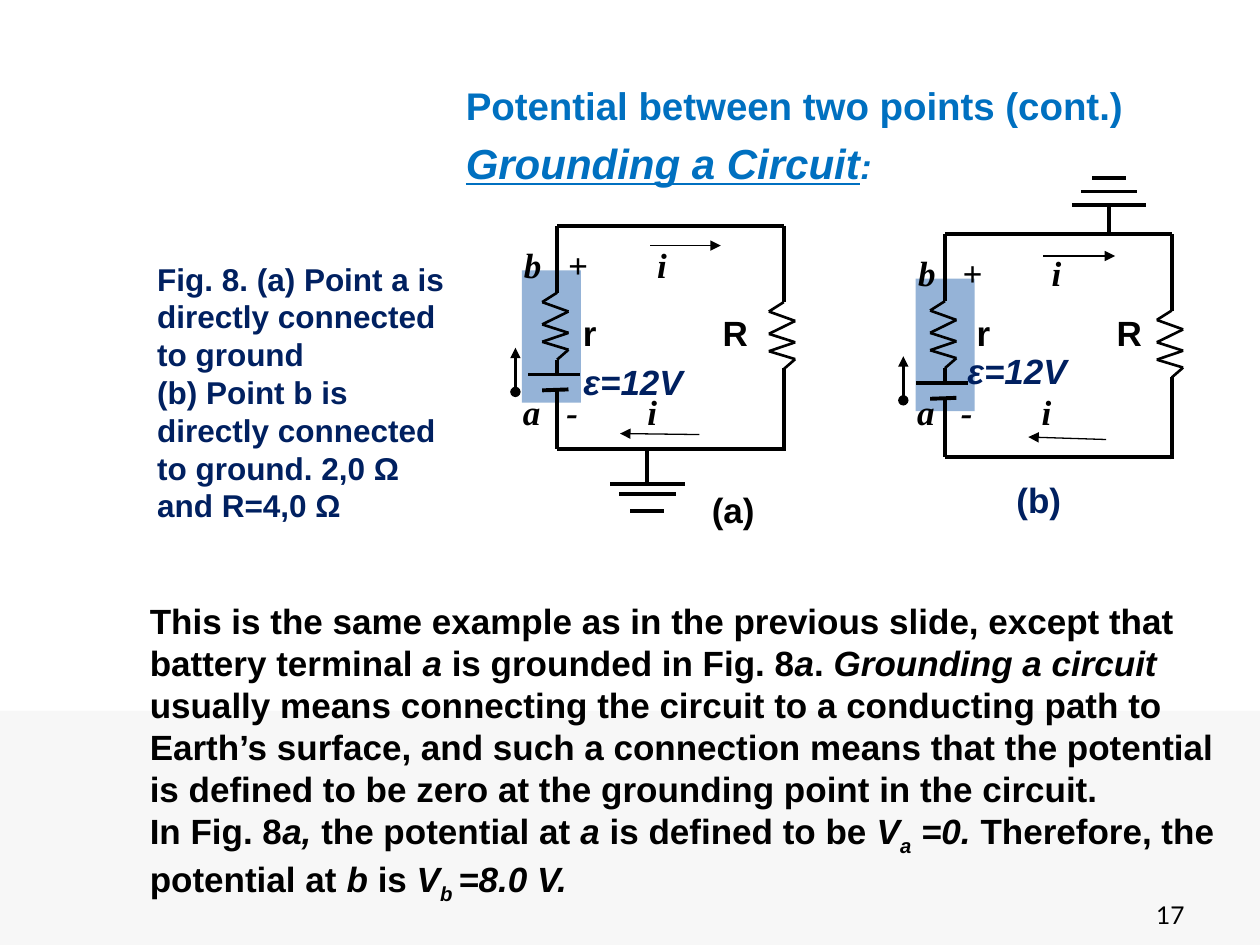
from dataclasses import dataclass
from itertools import pairwise

from lxml import etree
from pptx import Presentation
from pptx.dml.color import RGBColor
from pptx.enum.shapes import MSO_CONNECTOR, MSO_SHAPE
from pptx.enum.text import MSO_ANCHOR, PP_ALIGN
from pptx.oxml.ns import qn
from pptx.util import Cm, Pt

STRAIGHT = MSO_CONNECTOR.STRAIGHT
RECTANGLE = MSO_SHAPE.RECTANGLE
TOP, MIDDLE = MSO_ANCHOR.TOP, MSO_ANCHOR.MIDDLE
LEFT, RIGHT = PP_ALIGN.LEFT, PP_ALIGN.RIGHT


@dataclass(frozen=True)
class Theme:
    black: str = "000000"
    navy: str = "002060"
    blue: str = "0070C0"
    battery: str = "95B3D7"
    band: str = "F7F7F7"
    sans: str = "Arial"
    serif: str = "Times New Roman"
    number_font: str = "Lato"
    subtitle: int = 24
    title: int = 22
    body: int = 20
    caption: int = 18
    number: int = 14
    wire: float = 2.25
    medium: float = 1.5
    thin: float = 0.75


class CircuitSlide:
    """Draws text, blocks and circuit parts on one slide in a shared style."""

    ZIGZAG = [(0, 0), (-0.3, 0.19), (0.23, 0.38), (-0.3, 0.64),
              (0.23, 0.81), (-0.3, 0.99), (0.23, 1.15), (0, 1.35)]

    def __init__(self, slide, theme):
        self.shapes = slide.shapes
        self.theme = theme

    def block(self, x, y, width, height, color):
        block = self.shapes.add_shape(RECTANGLE, Cm(x), Cm(y), Cm(width), Cm(height))
        block.shadow.inherit = False
        block.fill.solid()
        block.fill.fore_color.rgb = RGBColor.from_string(color)
        block.line.fill.background()

    def text(self, box, paragraphs, size, color, font=None, bold=True, italic=False,
             anchor=TOP, align=LEFT, tabs=()):
        frame = self.shapes.add_textbox(*map(Cm, box)).text_frame
        frame.word_wrap = True
        frame.vertical_anchor = anchor
        for index, runs in enumerate(paragraphs):
            paragraph = frame.add_paragraph() if index else frame.paragraphs[0]
            paragraph.alignment = align
            if tabs:
                stops = etree.SubElement(paragraph._p.get_or_add_pPr(), qn("a:tabLst"))
                for stop in tabs:
                    etree.SubElement(stops, qn("a:tab"), pos=str(Cm(stop)), algn="l")
            for words, *changes in runs:
                change = changes[0] if changes else {}
                run = paragraph.add_run()
                run.text = words
                run.font.name = font or self.theme.sans
                run.font.size = Pt(change.get("size", size))
                run.font.bold = bold
                run.font.italic = change.get("italic", italic)
                run.font.underline = change.get("underline", False)
                run.font.color.rgb = RGBColor.from_string(color)
                if "baseline" in change:
                    run._r.get_or_add_rPr().set("baseline", change["baseline"])

    def label(self, x, y, words, width=4.0, **style):
        style = {"size": self.theme.body, "color": self.theme.black, **style}
        self.text((x, y, width, 1.12), [[(words,)]], **style)

    def line(self, start, end, width=None, head=None, tail=None):
        line = self.shapes.add_connector(STRAIGHT, *map(Cm, (*start, *end)))
        line.line.width = Pt(width or self.theme.wire)
        line.line.color.rgb = RGBColor.from_string(self.theme.black)
        for tag, kind in (("a:headEnd", head), ("a:tailEnd", tail)):
            if kind:
                etree.SubElement(line.line._get_or_add_ln(), qn(tag), type=kind)
        etree.SubElement(line._element.spPr, qn("a:effectLst"))

    def resistor(self, x, y):
        for start, end in pairwise((x + dx, y + dy) for dx, dy in self.ZIGZAG):
            self.line(start, end, self.theme.medium)

    def ground(self, x, wire_y, bar_levels):
        self.line((x, wire_y), (x, bar_levels[0]))
        for level, half in zip(bar_levels, (0.75, 0.57, 0.34)):
            self.line((x - half, level), (x + half, level))

    def circuit(self, x, y, battery_x, currents):
        right = x + 4.57
        self.block(battery_x, y + 0.9, 1.19, 2.67, self.theme.battery)
        wires = [
            ((x, y), (right, y)),
            ((x, y), (x, y + 1.35)),
            ((x, y + 2.7), (x, y + 3)),
            ((x - 0.58, y + 3), (x + 0.46, y + 3)),
            ((x - 0.3, y + 3.32), (x + 0.23, y + 3.3)),
            ((x, y + 3.3), (x, y + 4.5)),
            ((x, y + 4.5), (right, y + 4.5)),
            ((right, y), (right, y + 1.54)),
            ((right, y + 4.54), (right, y + 2.87)),
        ]
        for start, end in wires:
            self.line(start, end)
        self.resistor(x, y + 1.35)
        self.resistor(right, y + 1.54)
        for start, end in currents:
            self.line(start, end, self.theme.thin, tail="triangle")
        self.line((x - 0.84, y + 3.35), (x - 0.84, y + 2.46), self.theme.medium,
                  head="oval", tail="triangle")

    def circuit_labels(self, terminal_b, terminal_a, resistors, emf):
        serif = {"font": self.theme.serif, "italic": True}
        self.label(*terminal_b, "b\t+\ti", tabs=(0.89, 2.69), **serif)
        self.label(*terminal_a, "a\t-\ti", tabs=(0.88, 2.51), **serif)
        self.label(*resistors, "r\tR", tabs=(2.82,))
        self.label(*emf, "ε=12V", width=3.2, color=self.theme.navy, italic=True)


def main():
    theme = Theme()
    deck = Presentation()
    deck.slide_width, deck.slide_height = Cm(25.4), Cm(19.05)
    page = CircuitSlide(deck.slides.add_slide(deck.slide_layouts[6]), theme)
    italic = {"italic": True}
    subscript = {"italic": True, "baseline": "-25000"}

    page.block(0, 14.33, 25.4, 4.72, theme.band)
    page.text((9.14, 1.52, 14.6, 1.19), [[("Potential between two points (cont.)",)]],
              theme.title, theme.blue)
    page.text((9.14, 2.65, 9.2, 1.3),
              [[("Grounding a Circuit", {"italic": True, "underline": True}),
                (":", {"italic": True, "size": theme.body})]],
              theme.subtitle, theme.blue)
    page.text((2.77, 11.96, 22.07, 6.25), [
        [("This is the same example as in the previous slide, except that battery terminal ",),
         ("a", italic), (" is grounded in Fig. 8",), ("a", italic), (". ",),
         ("Grounding a circuit ", italic),
         ("usually means connecting the circuit to a conducting path to Earth’s surface, "
          "and such a connection means that the potential is defined to be zero at the "
          "grounding point in the circuit.",)],
        [("In Fig. 8",), ("a, ", italic), ("the potential at ",), ("a ", italic),
         ("is defined to be ",), ("V", italic), ("a", subscript), (" =0. ", italic),
         ("Therefore, the potential at",), (" b ", italic), ("is ",), ("V", italic),
         ("b ", subscript), ("=8.0 V.", italic)],
    ], theme.body, theme.black)
    page.text((2.92, 5.08, 6.6, 5.64), [
        [("Fig. 8. (a) Point a is directly connected to ground",)],
        [("(b) Point b is directly connected to ground. 2,0 Ω and R=4,0 Ω",)],
    ], theme.caption, theme.navy, anchor=MIDDLE)

    page.circuit(11.23, 4.55, 10.52, [((13.11, 4.95), (14.53, 4.95)),
                                      ((14.1, 8.76), (12.5, 8.74))])
    page.ground(13.05, 9.05, (9.75, 9.96, 10.31))
    page.circuit(19.05, 4.72, 18.46, [((21.03, 5.16), (22.48, 5.16)),
                                      ((22.3, 8.86), (20.73, 8.81))])
    page.ground(22.36, 4.72, (4.14, 3.86, 3.58))

    page.circuit_labels((10.31, 4.78), (10.29, 7.75), (11.5, 6.15), (11.51, 7.14))
    page.circuit_labels((18.26, 4.95), (18.24, 7.75), (19.44, 6.15), (19.25, 6.93))
    page.label(14.1, 9.73, "(a)", width=1.7)
    page.label(20.24, 9.53, "(b)", width=1.7, color=theme.navy)
    page.text((18.21, 17.93, 5.92, 1.02), [[("17",)]], theme.number, theme.black,
              font=theme.number_font, bold=False, anchor=MIDDLE, align=RIGHT)
    deck.save("out.pptx")


if __name__ == "__main__":
    main()
